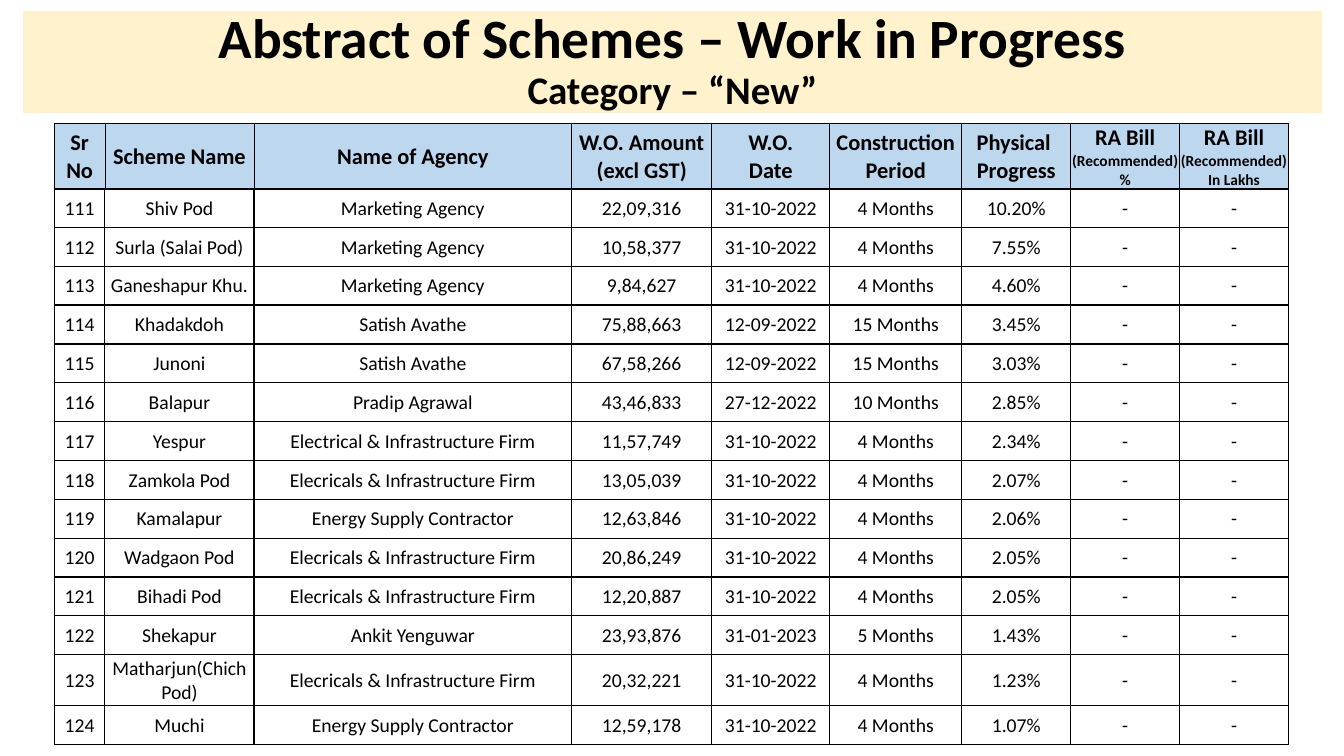
from collections import namedtuple

from lxml import etree
from pptx import Presentation
from pptx import util as u
from pptx.dml.color import RGBColor
from pptx.enum import shapes, text
from pptx.oxml import ns

Box = namedtuple("Box", "left top width height")
GRID = u.Inches(0.01)
FONT = "Calibri"
BLACK, CREAM, SKY = "000000", "FFF2CC", "BDD7EE"
COLUMN_SHARES = [50, 148, 315, 139, 117, 131, 108, 108, 108]
TALL_ROW = 1.31

HEADINGS = [
    [("Sr No", 16)],
    [("Scheme Name", 16)],
    [("Name of Agency", 16)],
    [("W.O. Amount\n(excl GST)", 16)],
    [("W.O.\nDate", 16)],
    [("Construction\nPeriod", 16)],
    [("Physical ", 16), ("Progress", 16)],
    [("RA Bill", 16), ("(Recommended)", 11), ("%", 11)],
    [("RA Bill", 16), ("(Recommended)", 11), ("In Lakhs", 11)],
]
FIRST_NUMBER = 111
MARKETING = "Marketing Agency"
ELECTRICALS = "Elecricals & Infrastructure Firm"
ENERGY = "Energy Supply Contractor"
SCHEMES = [
    ("Shiv Pod", MARKETING, "22,09,316", "31-10-2022", 4, "10.20%"),
    ("Surla (Salai Pod)", MARKETING, "10,58,377", "31-10-2022", 4, "7.55%"),
    ("Ganeshapur Khu.", MARKETING, "9,84,627", "31-10-2022", 4, "4.60%"),
    ("Khadakdoh", "Satish Avathe", "75,88,663", "12-09-2022", 15, "3.45%"),
    ("Junoni", "Satish Avathe", "67,58,266", "12-09-2022", 15, "3.03%"),
    ("Balapur", "Pradip Agrawal", "43,46,833", "27-12-2022", 10, "2.85%"),
    ("Yespur", "Electrical & Infrastructure Firm", "11,57,749", "31-10-2022", 4, "2.34%"),
    ("Zamkola Pod", ELECTRICALS, "13,05,039", "31-10-2022", 4, "2.07%"),
    ("Kamalapur", ENERGY, "12,63,846", "31-10-2022", 4, "2.06%"),
    ("Wadgaon Pod", ELECTRICALS, "20,86,249", "31-10-2022", 4, "2.05%"),
    ("Bihadi Pod", ELECTRICALS, "12,20,887", "31-10-2022", 4, "2.05%"),
    ("Shekapur", "Ankit Yenguwar", "23,93,876", "31-01-2023", 5, "1.43%"),
    ("Matharjun(Chich Pod)", ELECTRICALS, "20,32,221", "31-10-2022", 4, "1.23%"),
    ("Muchi", ENERGY, "12,59,178", "31-10-2022", 4, "1.07%"),
]


def color(value):
    return RGBColor.from_string(value)


def place(box):
    return [int(length * GRID) for length in box]


def add_span(para, words, size, bold):
    for index, line in enumerate(words.split("\n")):
        if index:
            para.add_line_break()
        span = para.add_run()
        span.text = line
        span.font.name = FONT
        span.font.size = u.Pt(size)
        span.font.bold = bold
        span.font.color.rgb = color(BLACK)


def set_borders(cell, width, bottom_width):
    properties = cell._tc.get_or_add_tcPr()
    sides = [("lnL", width), ("lnR", width), ("lnT", width), ("lnB", bottom_width)]
    for position, (side, points) in enumerate(sides):
        line = etree.Element(ns.qn("a:" + side), w=str(u.Pt(points)))
        fill = etree.SubElement(line, ns.qn("a:solidFill"))
        etree.SubElement(fill, ns.qn("a:srgbClr"), val=BLACK)
        properties.insert(position, line)


def fill_cell(cell, paragraphs, bold):
    cell.margin_left = cell.margin_right = cell.margin_top = u.Inches(0.01)
    cell.margin_bottom = 0
    cell.vertical_anchor = text.MSO_ANCHOR.MIDDLE
    frame = cell.text_frame
    for index, (words, size) in enumerate(paragraphs):
        para = frame.add_paragraph() if index else frame.paragraphs[0]
        para.alignment = text.PP_ALIGN.CENTER
        add_span(para, words, size, bold)


def add_grid(page, box, rows, row_shares, fill=None, bold=False, line=1):
    frame = page.shapes.add_table(len(rows), len(COLUMN_SHARES), *place(box))
    table = frame.table
    table.first_row = table.horz_banding = False
    for column, share in zip(table.columns, COLUMN_SHARES):
        column.width = int(box.width * GRID * share / sum(COLUMN_SHARES))
    for row, share, entries in zip(table.rows, row_shares, rows):
        row.height = int(box.height * GRID * share / sum(row_shares))
        for cell, paragraphs in zip(row.cells, entries):
            fill_cell(cell, paragraphs, bold)
            if fill:
                cell.fill.solid()
                cell.fill.fore_color.rgb = color(fill)
            else:
                cell.fill.background()
            set_borders(cell, line, 1)


def add_banner(page, box):
    banner = page.shapes.add_shape(shapes.MSO_SHAPE.RECTANGLE, *place(box))
    banner.shadow.inherit = False
    banner.fill.solid()
    banner.fill.fore_color.rgb = color(CREAM)
    banner.line.fill.background()
    frame = banner.text_frame
    frame.word_wrap = True
    frame.vertical_anchor = text.MSO_ANCHOR.MIDDLE
    para = frame.paragraphs[0]
    para.alignment = text.PP_ALIGN.CENTER
    para.line_spacing = 0.9
    add_span(para, "Abstract of Schemes – Work in Progress", 39.6, True)
    para.add_line_break()
    add_span(para, "Category – “New”", 27.9, True)


def add_header(page, box):
    add_grid(page, box, [HEADINGS], [1], fill=SKY, bold=True, line=0.5)


def add_schemes(page, box):
    rows = []
    for number, scheme in enumerate(SCHEMES, FIRST_NUMBER):
        name, agency, amount, date, months, progress = scheme
        values = [str(number), name, agency, amount, date, f"{months} Months", progress, "-", "-"]
        rows.append([[(value, 14)] for value in values])
    row_shares = [TALL_ROW if len(scheme[0]) > 18 else 1 for scheme in SCHEMES]
    add_grid(page, box, rows, row_shares)


def main():
    deck = Presentation()
    deck.slide_width, deck.slide_height = u.Inches(13.33), u.Inches(7.5)
    page = deck.slides.add_slide(deck.slide_layouts[6])
    add_banner(page, Box(23, 11, 1288, 101))
    header = Box(54, 122, 1224, 65)
    add_header(page, header)
    add_schemes(page, Box(header.left, header.top + header.height, header.width, 552))
    deck.save("out.pptx")


if __name__ == "__main__":
    main()
